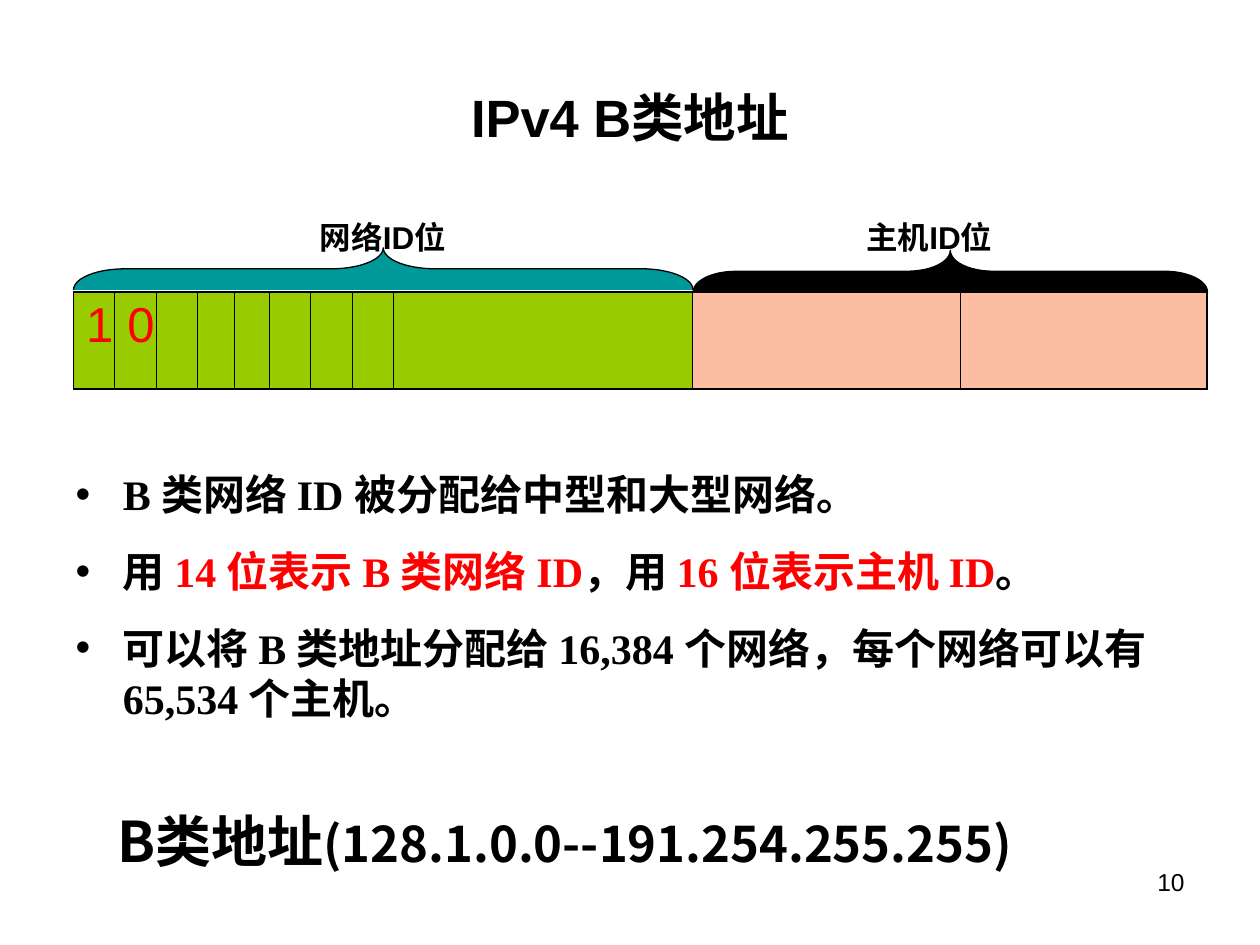
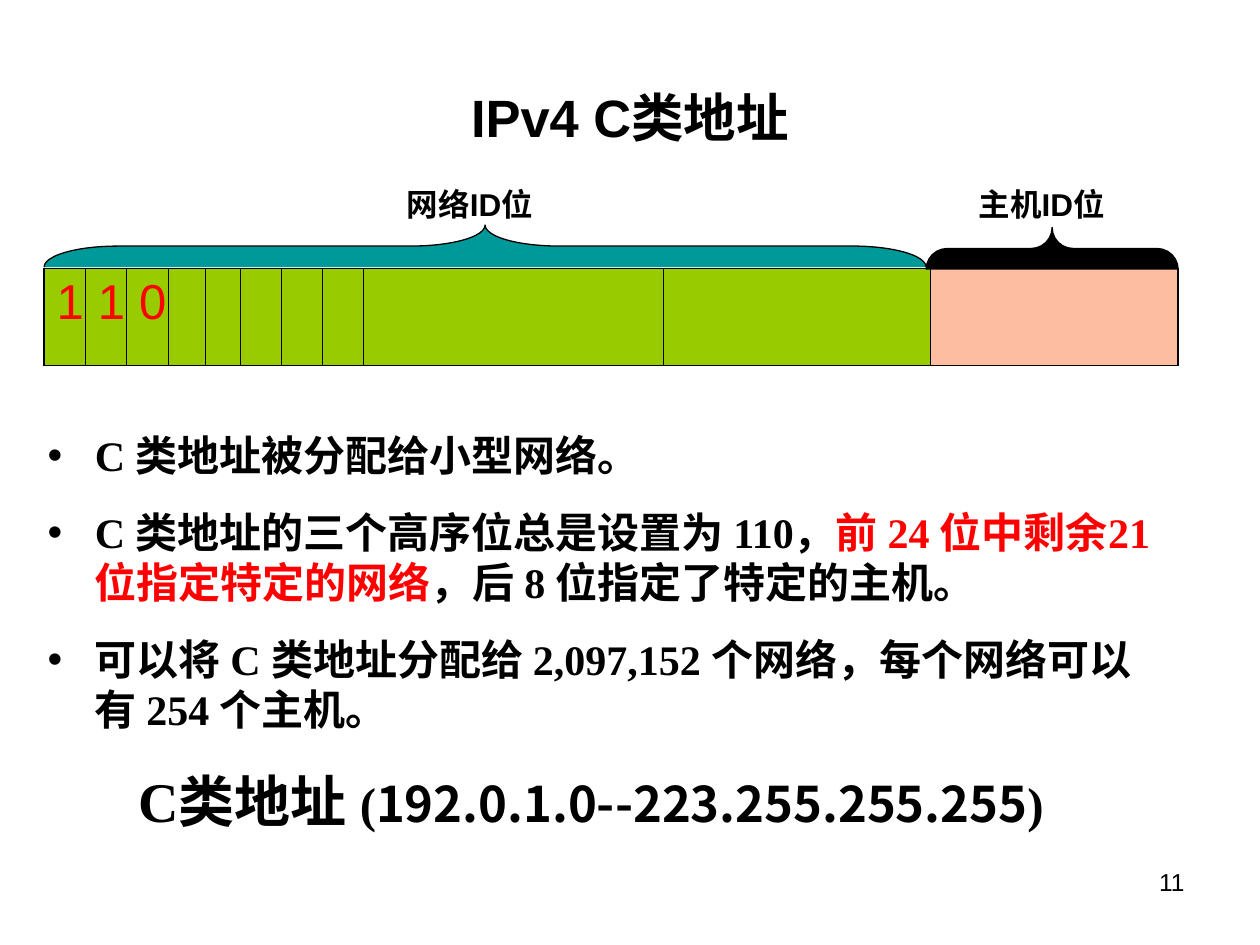
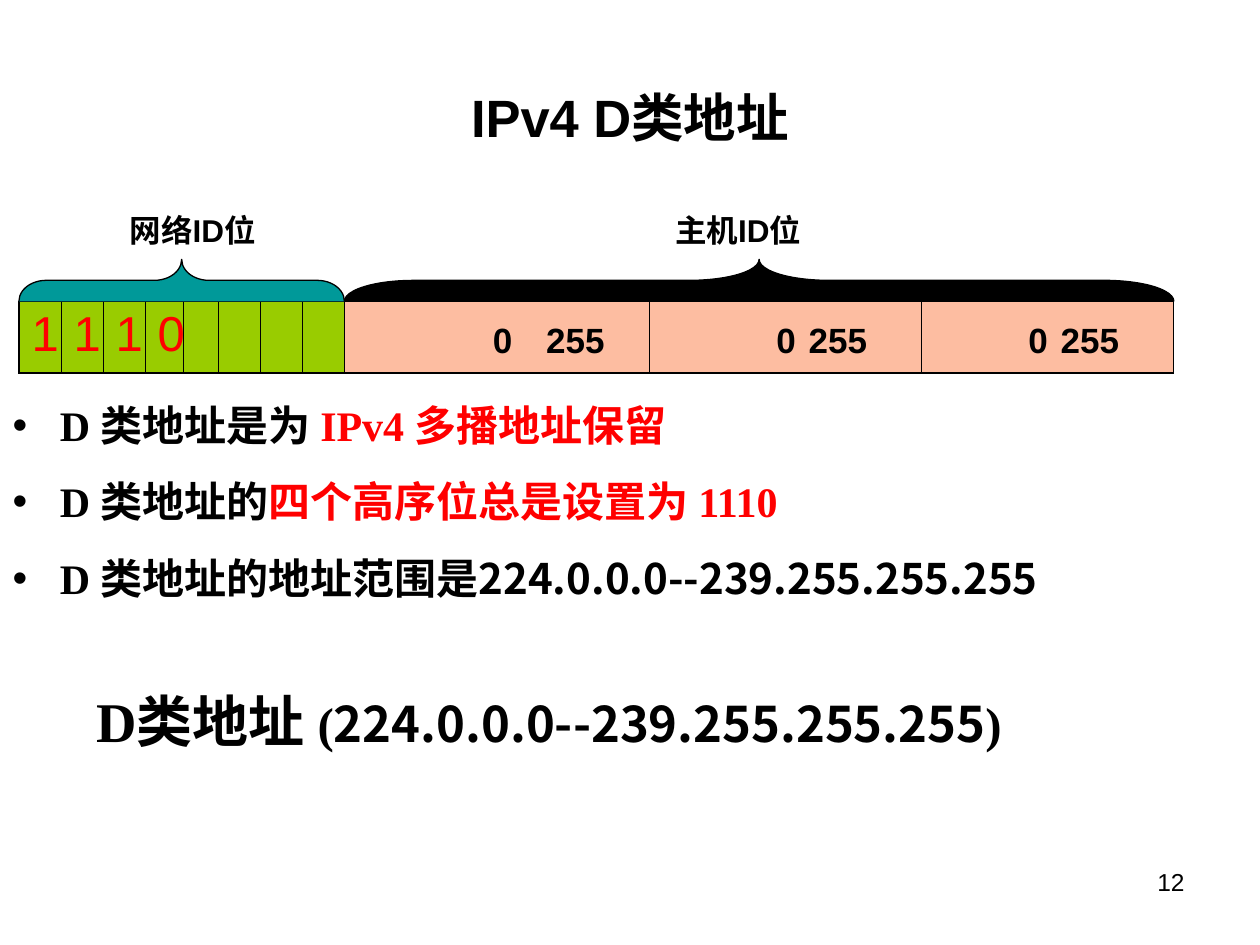
"""Build three slides on the IPv4 address classes B, C and D."""
from lxml import etree
from pptx import Presentation
from pptx.dml.color import RGBColor
from pptx.enum import shapes, text
from pptx.oxml.ns import qn
from pptx.util import Pt

BLACK = RGBColor(0x00, 0x00, 0x00)
RED = RGBColor(0xFF, 0x00, 0x00)
GREEN = RGBColor(0x99, 0xCC, 0x00)
PEACH = RGBColor(0xFD, 0xBD, 0xA1)
TEAL = RGBColor(0x00, 0x99, 0x99)
ARIAL, TIMES, CJK = "Arial", "Times New Roman", "Noto Sans CJK SC"
COLUMNS = (23.6, 23.6, 23.6, 21.4, 19.8, 23.6, 23.6, 23.6, 171, 153, 141.2)
BRACE_DEPTH = 24


def write(p, content, size=24, font=ARIAL, color=BLACK, bold=True):
    """Add a formatted run to a paragraph."""
    r = p.add_run()
    r.text = content
    f = r.font
    f.size, f.name, f.bold = Pt(size), font, bold
    f.color.rgb = color
    etree.SubElement(r._r.get_or_add_rPr(), qn("a:ea"), typeface=CJK)


def write_parts(p, parts, **fmt):
    """Add runs given as strings or as (string, overrides) pairs."""
    for part in parts:
        content, extra = (part, {}) if isinstance(part, str) else part
        write(p, content, **{**fmt, **extra})


def red(content):
    """Mark a part of a line as red."""
    return content, {"color": RED}


def heading(name):
    """Make the larger opening part of a range line."""
    return name, {"size": 32}


def cjk(content):
    """Set a part of a line in the CJK font."""
    return content, {"font": CJK}


def border(cell, sides):
    """Draw the four cell borders from a mapping of side to width."""
    tc_pr = cell._tc.get_or_add_tcPr()
    for i, (side, width) in enumerate(sides.items()):
        ln = etree.Element(qn("a:ln" + side), w=str(Pt(width)))
        fill = etree.SubElement(ln, qn("a:solidFill"))
        etree.SubElement(fill, qn("a:srgbClr"), val=str(BLACK))
        tc_pr.insert(i, ln)


class Deck:
    """Hold the presentation, its style and the current slide."""

    def __init__(self):
        """Start an empty 10 by 7.5 inch presentation."""
        self.prs = Presentation()
        self.prs.slide_width, self.prs.slide_height = Pt(720), Pt(540)

    def place(self, sp, x, y, w, h):
        """Move and size a shape."""
        sp.left, sp.top, sp.width, sp.height = Pt(x), Pt(y), Pt(w), Pt(h)

    def slide(self, title, number):
        """Add a slide with its title and page number."""
        self.s = self.prs.slides.add_slide(self.prs.slide_layouts[1])
        sp = self.s.shapes.title
        self.place(sp, 36, 21.6, 648, 90)
        sp.text_frame.auto_size = text.MSO_AUTO_SIZE.NONE
        write(sp.text_frame.paragraphs[0], title, size=30)
        p = self.box([str(number)], 516, 492, 168, 37, size=14, bold=False)
        p.alignment = text.PP_ALIGN.RIGHT

    def bullets(self, lines, x, y, w, h):
        """Fill the body placeholder with a bulleted list."""
        sp = self.s.placeholders[1]
        self.place(sp, x, y, w, h)
        tf = sp.text_frame
        tf.auto_size = text.MSO_AUTO_SIZE.NONE
        for i, parts in enumerate(lines):
            p = tf.add_paragraph() if i else tf.paragraphs[0]
            p.space_before = Pt(15)
            p_pr = p._p.get_or_add_pPr()
            p_pr.set("marL", str(Pt(27)))
            p_pr.set("indent", str(Pt(-27)))
            write_parts(p, parts, font=TIMES)

    def box(self, parts, x, y, w, h, wrap=True, **fmt):
        """Add a one-paragraph text box and return the paragraph."""
        tf = self.s.shapes.add_textbox(Pt(x), Pt(y), Pt(w), Pt(h)).text_frame
        tf.word_wrap = wrap
        if not wrap:
            tf.auto_size = text.MSO_AUTO_SIZE.SHAPE_TO_FIT_TEXT
        p = tf.paragraphs[0]
        write_parts(p, parts, **fmt)
        return p

    def label(self, content, x, y, w=95, size=18):
        """Add a short unwrapped bold label."""
        self.box([content], x, y, w, 29, wrap=False, size=size)

    def address(self, x, y, w, h, bits, hosts):
        """Draw the address row with its leading bits and host octets."""
        n = len(COLUMNS)
        table = self.s.shapes.add_table(1, n, Pt(x), Pt(y), Pt(w), Pt(h)).table
        table.first_row = table.horz_banding = False
        table.rows[0].height = Pt(h)
        for i, width in enumerate(COLUMNS):
            table.columns[i].width = Pt(width * w / sum(COLUMNS))
            cell = table.cell(0, i)
            cell.fill.solid()
            cell.fill.fore_color.rgb = GREEN if i < n - hosts else PEACH
            border(cell, {"L": 0.45 if i else 1.08, "R": 0.45 if i < n - 1 else 1.08,
                          "T": 1.08, "B": 1.08})
            if i < len(bits):
                p = cell.text_frame.paragraphs[0]
                p.space_before = Pt(7)
                write(p, bits[i], size=28, color=RED, bold=False)

    def brace(self, x1, x2, bottom, color):
        """Draw an upward brace standing on the bottom line."""
        length = x2 - x1
        left = (x1 + x2 - BRACE_DEPTH) / 2
        top = bottom - (BRACE_DEPTH + length) / 2
        sp = self.s.shapes.add_shape(shapes.MSO_SHAPE.LEFT_BRACE, Pt(left), Pt(top),
                                     Pt(BRACE_DEPTH), Pt(length))
        sp.rotation = 90
        sp.adjustments[0] = length / BRACE_DEPTH / 12
        sp.shadow.inherit = False
        sp.fill.solid()
        sp.fill.fore_color.rgb = color
        sp.line.color.rgb = BLACK
        sp.line.width = Pt(0.75)

    def braces(self, x, split, end, net_y, host_y, labels_y, net_x, host_x):
        """Draw the network and host braces with their labels."""
        self.brace(x, split, net_y, TEAL)
        self.label("网络ID位", net_x, labels_y)
        self.brace(split, end, host_y, BLACK)
        self.label("主机ID位", host_x, labels_y)

    def span(self, parts, x, y, w, h, font=TIMES):
        """Add the large line with the address range."""
        self.box(parts, x, y, w, h, size=28, font=font).space_before = Pt(17.5)


def main():
    """Build and save the slides."""
    d = Deck()

    d.slide("IPv4 B类地址", 10)
    d.bullets([
        ["B 类网络 ID 被分配给中型和大型网络。"],
        ["用 ", red("14 位表示 B 类网络 ID"), "，用 ", red("16 位表示主机 ID"), "。"],
        ["可以将 B 类地址分配给 16,384 个网络，每个网络可以有 65,534 个主机。"],
    ], 36, 264.4, 648, 218)
    d.address(42, 167, 648, 55.4, "10", 2)
    d.braces(42, 396, 690, 165.6, 167, 121, 175.7, 488)
    d.span([heading("B类地址"), "(128.1.0.0--191.254.255.255)"], 59.8, 457.2, 534, 46, font=CJK)

    d.slide("IPv4 C类地址", 11)
    d.bullets([
        ["C 类地址被分配给小型网络。"],
        ["C 类地址的三个高序位总是设置为 110，", red("前 24 位中剩余21位指定特定的网络"),
         "，后 8 位指定了特定的主机。"],
        ["可以将 C 类地址分配给 2,097,152 个网络，每个网络可以有 254 个主机。"],
    ], 20, 242, 648, 224)
    d.address(25.2, 153.4, 648, 55.4, "110", 1)
    d.braces(25.2, 529.2, 673.2, 152.6, 154, 102, 225.4, 552.2)
    d.span([heading("C类地址 "), "(", cjk("192.0.1.0--223.255.255.255"), ")"], 72, 434.2, 552, 79)

    d.slide("IPv4 D类地址", 12)
    d.bullets([
        ["D 类地址是为 ", red("IPv4 多播地址保留")],
        ["D 类地址的", red("四个高序位总是设置为 1110")],
        ["D 类地址的地址范围是", cjk("224.0.0.0--239.255.255.255")],
    ], 0, 224.6, 684, 258)
    d.address(10.8, 172.2, 660, 41, "1110", 3)
    for low_x, high_x in ((274.6, 305), (436.6, 455), (580.6, 599)):
        d.label("0", low_x, 178.6, w=26, size=20)
        d.label("255", high_x, 178.6, w=48, size=20)
    d.braces(10.8, 196.8, 670.8, 172.2, 172.2, 117, 67, 378.7)
    d.span([heading("D类地址 "), "(", cjk("224.0.0.0--239.255.255.255"), ")"], 48, 389, 534, 79)

    d.prs.save("out.pptx")


if __name__ == "__main__":
    main()
